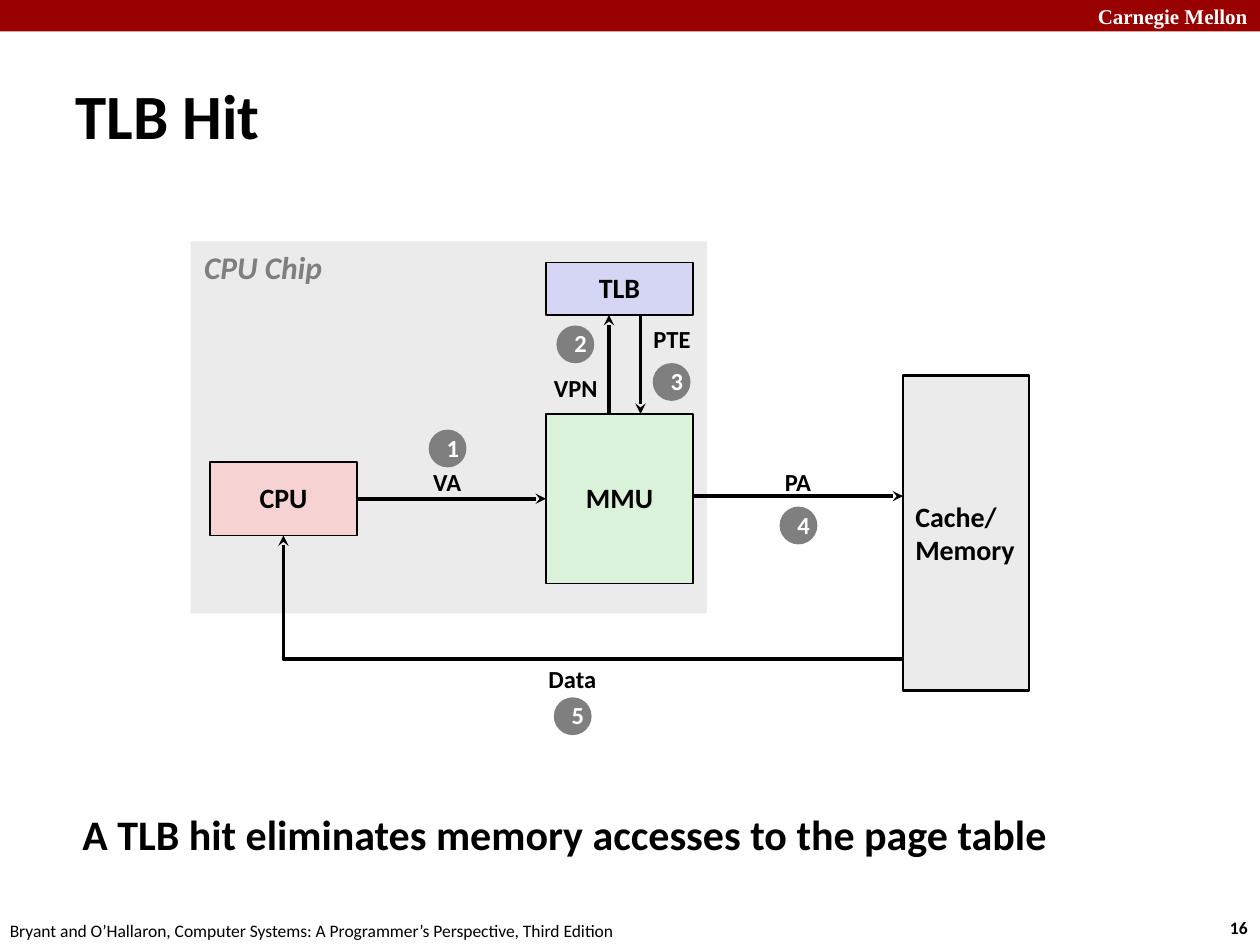
from dataclasses import dataclass

from lxml import etree
from pptx import Presentation
from pptx.dml.color import RGBColor
from pptx.enum.shapes import MSO_CONNECTOR, MSO_SHAPE
from pptx.enum.text import MSO_ANCHOR, PP_ALIGN
from pptx.oxml.ns import qn
from pptx.util import Pt

RECT, OVAL = MSO_SHAPE.RECTANGLE, MSO_SHAPE.OVAL
STRAIGHT, ELBOW = MSO_CONNECTOR.STRAIGHT, MSO_CONNECTOR.ELBOW
LEFT, CENTER, RIGHT = PP_ALIGN.LEFT, PP_ALIGN.CENTER, PP_ALIGN.RIGHT
TOP, MIDDLE = MSO_ANCHOR.TOP, MSO_ANCHOR.MIDDLE
SIDE_LEFT, SIDE_RIGHT = 1, 3


@dataclass(frozen=True)
class Theme:
    """Colours, fonts and type sizes of the slide."""
    black: str = "000000"
    white: str = "FFFFFF"
    bar: str = "990000"
    panel: str = "EBEBEB"
    grey: str = "7F7F7F"
    cpu: str = "F6D2D2"
    mmu: str = "DBF2DA"
    tlb: str = "D5D5F4"
    body_font: str = "Calibri"
    brand_font: str = "Times New Roman"
    title: int = 36
    takeaway: int = 24
    chip: int = 18
    block: int = 16
    label: int = 14
    brand: int = 12
    footer: int = 10


T = Theme()


def write(sp, text, size, color=T.black, align=LEFT, anchor=MIDDLE, spacing=None, **fmt):
    """Fill a shape with text, one paragraph per line."""
    tf = sp.text_frame
    tf.vertical_anchor = anchor
    for i, line in enumerate(text.split("\n")):
        p = tf.paragraphs[0] if i == 0 else tf.add_paragraph()
        p.alignment = align
        if spacing:
            p.line_spacing = spacing
        r = p.add_run()
        r.text = line
        for name, value in {"name": T.body_font, "size": Pt(size), "bold": True, **fmt}.items():
            setattr(r.font, name, value)
        r.font.color.rgb = RGBColor.from_string(color)


def add_text(s, box, text, size, wrap=True, **fmt):
    """Add a text box."""
    sp = s.shapes.add_textbox(*map(Pt, box))
    sp.text_frame.word_wrap = wrap
    write(sp, text, size, **fmt)


def add_block(s, box, fill, line=None, kind=RECT):
    """Add a filled shape, outlined when a line width is given."""
    sp = s.shapes.add_shape(kind, *map(Pt, box))
    sp.shadow.inherit = False
    sp.fill.solid()
    sp.fill.fore_color.rgb = RGBColor.from_string(fill)
    if line:
        sp.line.color.rgb = RGBColor.from_string(T.black)
        sp.line.width = Pt(line)
    else:
        sp.line.fill.background()
    return sp


def add_arrow(s, start, end, kind=STRAIGHT):
    """Add a connector with a stealth arrowhead at its end."""
    c = s.shapes.add_connector(kind, *map(Pt, (*start, *end)))
    c.line.color.rgb = RGBColor.from_string(T.black)
    c.line.width = Pt(2)
    etree.SubElement(c.line._get_or_add_ln(), qn("a:tailEnd"), type="stealth")
    spPr = c._element.spPr
    etree.SubElement(spPr, qn("a:effectLst"))
    if kind == ELBOW:
        spPr.find(qn("a:prstGeom")).set("prst", "bentConnector2")
    return c


def add_header(s, box):
    """Draw the coloured bar with the university name."""
    add_block(s, box, T.bar)
    x, y, w, h = box
    add_text(s, (x + w - 120, y, 120, h), "Carnegie Mellon", T.brand,
             color=T.white, align=RIGHT, name=T.brand_font)


def add_footer(s, box):
    """Write the book reference and the slide number."""
    x, y, w, h = box
    reference = "Bryant and O’Hallaron, Computer Systems: A Programmer’s Perspective, Third Edition"
    add_text(s, (x - 1.5, y + 1.5, 400, h - 1.5), reference, T.footer, anchor=TOP, bold=False)
    add_text(s, (x + w - 40, y, 40, h), "16", T.footer, anchor=TOP, align=RIGHT)


def add_diagram(s, box):
    """Draw the address translation steps of a TLB hit."""
    x, y, w, h = box

    def at(left, top, *size):
        return (x + left, y + top, *size)

    add_block(s, at(0, 0, 295, 212.5), T.panel)
    add_text(s, at(0.5, 0, 84, 29), "CPU Chip", T.chip, wrap=False,
             color=T.grey, anchor=TOP, italic=True)

    blocks = {}
    for name, place, fill in (
        ("MMU", (203, 98.5, 84, 97), T.mmu),
        ("CPU", (11, 126, 84, 42), T.cpu),
        ("TLB", (203, 12, 84, 30), T.tlb),
    ):
        blocks[name] = add_block(s, at(*place), fill, line=1)
        write(blocks[name], name, T.block, align=CENTER, spacing=0.98)
    cache = add_block(s, at(w - 72, 76.5, 72, h - 102.5), T.panel, line=1.5)
    write(cache, "Cache/\nMemory", T.block)

    va = add_arrow(s, at(95, 147), at(203, 147))
    va.begin_connect(blocks["CPU"], SIDE_RIGHT)
    va.end_connect(blocks["MMU"], SIDE_LEFT)
    for start, end, kind in (
        ((239, 98.5), (239, 42), STRAIGHT),
        ((257, 42), (257, 98.5), STRAIGHT),
        ((287, 145.5), (w - 72, 145.5), STRAIGHT),
        ((w - 72, 238.5), (53, 168), ELBOW),
    ):
        add_arrow(s, at(*start), at(*end), kind)

    label_w, label_h, badge_d = 60, 24, 21.6
    steps = (
        ("VA", (146.5, 126), (136, 107.5)),
        ("VPN", (220, 72), (209, 48)),
        ("PTE", (275, 44), (264, 69.5)),
        ("PA", (347, 126), (336.5, 151.5)),
        ("Data", (218, 238.5), (207.5, 260.5)),
    )
    for number, (label, (middle, top), badge) in enumerate(steps, 1):
        add_text(s, at(middle - label_w / 2, top, label_w, label_h), label, T.label,
                 align=CENTER, spacing=0.98)
        sp = add_block(s, at(*badge, badge_d, badge_d), T.grey, kind=OVAL)
        write(sp, str(number), T.label, color=T.white, align=CENTER, spacing=0.98)


def main():
    """Build the slide and save it."""
    prs = Presentation()
    prs.slide_width, prs.slide_height = Pt(720), Pt(540)
    s = prs.slides.add_slide(prs.slide_layouts[6])
    add_header(s, (0, 0, 720, 18))
    add_text(s, (36, 34.5, 684, 62), "TLB Hit", T.title)
    add_diagram(s, (109, 138, 479, 282.5))
    add_text(s, (40, 458.5, 566, 45), "A TLB hit eliminates memory accesses to the page table",
             T.takeaway, anchor=TOP)
    add_footer(s, (0, 520.5, 720, 19.5))
    prs.save("out.pptx")


if __name__ == "__main__":
    main()
